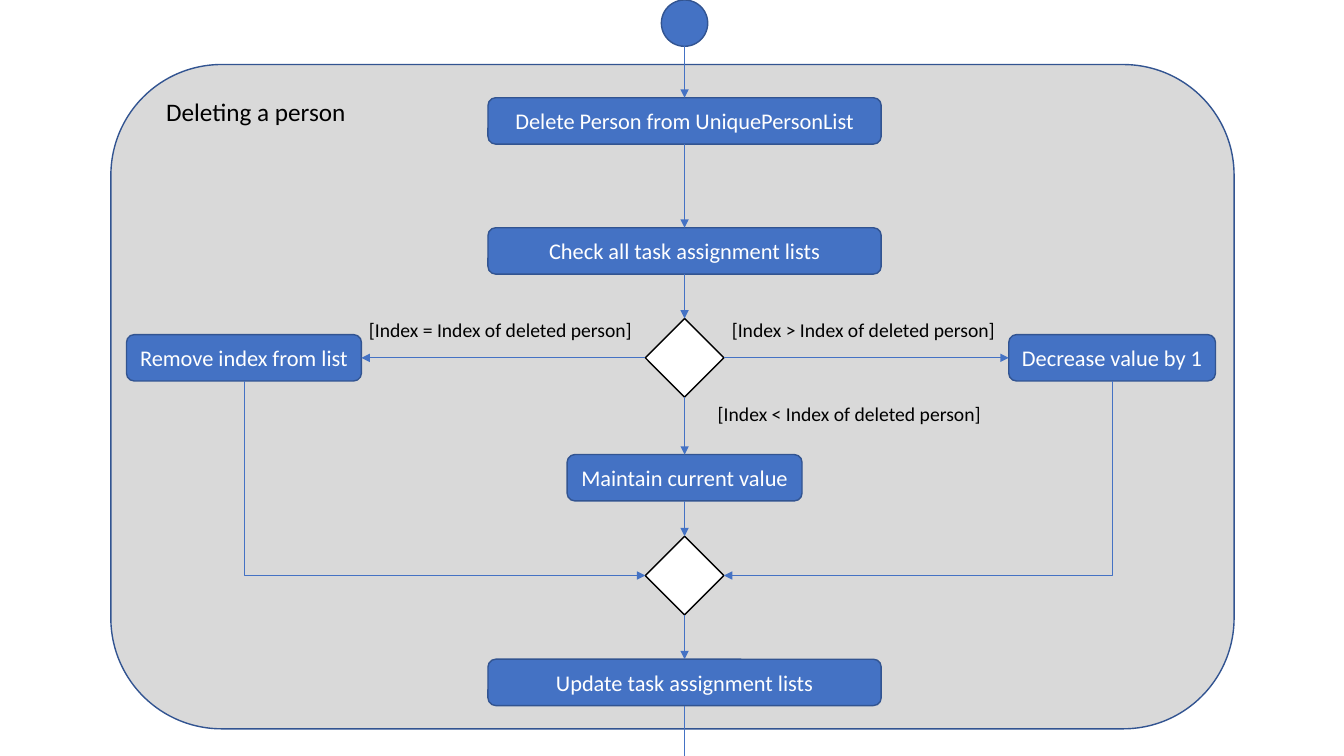
from lxml import etree
from pptx import Presentation
from pptx.dml.color import RGBColor
from pptx.enum.shapes import MSO_CONNECTOR, MSO_SHAPE
from pptx.enum.text import MSO_ANCHOR, MSO_AUTO_SIZE, PP_ALIGN
from pptx.oxml.ns import qn
from pptx.util import Emu, Pt

EMU_PER_PX = 9144
BLUE, NAVY, GREY, WHITE, BLACK = "4472C4", "325491", "D9D9D9", "FFFFFF", "000000"
ROUNDED, CIRCLE = MSO_SHAPE.ROUNDED_RECTANGLE, MSO_SHAPE.OVAL
DECISION = MSO_SHAPE.FLOWCHART_DECISION
STRAIGHT, ELBOW = MSO_CONNECTOR.STRAIGHT, MSO_CONNECTOR.ELBOW
MIDDLE, CENTER = MSO_ANCHOR.MIDDLE, PP_ALIGN.CENTER
FIT_SHAPE = MSO_AUTO_SIZE.SHAPE_TO_FIT_TEXT
TOP, LEFT, BOTTOM, RIGHT = range(4)
ACTION_HEIGHT, DECISION_SIZE = 46, 78


def px(length):
    """Turn a length in px into EMU."""
    return Emu(int(length * EMU_PER_PX))


def color(hex_string):
    """Turn a hex string into a colour."""
    return RGBColor.from_string(hex_string)


def set_text(shape, text, size, text_color):
    """Write one formatted paragraph and return it."""
    paragraph = shape.text_frame.paragraphs[0]
    paragraph.text = text
    paragraph.font.name = "Calibri"
    paragraph.font.size = Pt(size)
    paragraph.font.color.rgb = color(text_color)
    return paragraph


def add_node(slide, kind, box, fill=BLUE, line=NAVY):
    """Draw a filled and outlined shape in the box."""
    shape = slide.shapes.add_shape(kind, *map(px, box))
    shape.shadow.inherit = False
    shape.fill.solid()
    shape.fill.fore_color.rgb = color(fill)
    shape.line.color.rgb = color(line)
    shape.line.width = Pt(1)
    return shape


def add_action(slide, center, middle, width, text):
    """Draw an action box around its centre point."""
    box = center - width / 2, middle - ACTION_HEIGHT / 2, width, ACTION_HEIGHT
    shape = add_node(slide, ROUNDED, box)
    shape.text_frame.word_wrap = True
    shape.text_frame.vertical_anchor = MIDDLE
    set_text(shape, text, 16, WHITE).alignment = CENTER
    return shape


def add_decision(slide, center, middle):
    """Draw a decision diamond around its centre point."""
    half = DECISION_SIZE / 2
    box = center - half, middle - half, DECISION_SIZE, DECISION_SIZE
    return add_node(slide, DECISION, box, WHITE, BLACK)


def add_label(slide, box, text, size=14):
    """Write a text label that does not wrap."""
    label = slide.shapes.add_textbox(*map(px, box))
    label.text_frame.word_wrap = False
    label.text_frame.auto_size = FIT_SHAPE
    set_text(label, text, size, BLACK)


def add_arrow(slide, kind=STRAIGHT, start=(0, 0), end=(0, 0)):
    """Draw a thin blue connector with an arrowhead at its end."""
    arrow = slide.shapes.add_connector(kind, *map(px, start + end))
    arrow.line.color.rgb = color(BLUE)
    arrow.line.width = Pt(0.5)
    line = arrow.line._get_or_add_ln()
    etree.SubElement(line, qn("a:tailEnd"), type="triangle")
    etree.SubElement(arrow._element.spPr, qn("a:effectLst"))
    return arrow


def join(slide, source, source_side, target, target_side):
    """Join two shapes with a straight arrow."""
    arrow = add_arrow(slide)
    arrow.begin_connect(source, source_side)
    arrow.end_connect(target, target_side)


def join_bent(slide, source, target, target_side):
    """Run an arrow down from the source and then sideways to the target."""
    arrow = add_arrow(slide, ELBOW)
    arrow.begin_connect(source, BOTTOM)
    arrow.end_connect(target, target_side)
    run, drop = arrow.width, arrow.height
    center, middle = arrow.left + run // 2, arrow.top + drop // 2
    arrow.left, arrow.top = center - drop // 2, middle - run // 2
    arrow.width, arrow.height = drop, run
    from_left = target_side == LEFT
    properties = arrow._element.spPr
    frame = properties.find(qn("a:xfrm"))
    frame.set("rot", str((270 if from_left else 90) * 60000))
    frame.set("flipH", "1" if from_left else "0")
    properties.find(qn("a:prstGeom")).set("prst", "bentConnector2")


def draw_activity(slide, box):
    """Draw the activity diagram for deleting a person in the box."""
    left, top, width, height = box
    center = left + 569
    add_node(slide, ROUNDED, box, GREY)
    add_node(slide, CIRCLE, (center - 23, top - 64, 46, 46))

    delete = add_action(slide, center, top + 56, 390, "Delete Person from UniquePersonList")
    check = add_action(slide, center, top + 185, 390, "Check all task assignment lists")
    remove = add_action(slide, left + 132, top + 291, 233, "Remove index from list")
    decrease = add_action(slide, left + 993, top + 291, 205, "Decrease value by 1")
    maintain = add_action(slide, center, top + 410, 233, "Maintain current value")
    update = add_action(slide, center, top + 613, 390, "Update task assignment lists")
    branch = add_decision(slide, center, top + 291)
    merge = add_decision(slide, center, top + 507)

    entry = add_arrow(slide, start=(center, top - 18), end=(center, top + 33))
    entry.end_connect(delete, TOP)
    flow = [delete, check, branch, maintain, merge, update]
    for source, target in zip(flow, flow[1:]):
        join(slide, source, BOTTOM, target, TOP)
    for action, side, facing in ((remove, LEFT, RIGHT), (decrease, RIGHT, LEFT)):
        join(slide, branch, side, action, facing)
        join_bent(slide, action, merge, side)
    leaving = add_arrow(slide, start=(center, top + 636), end=(center, top + 695))
    leaving.begin_connect(update, BOTTOM)

    add_label(slide, (left + 45, top + 27, 201, 40), "Deleting a person", 18)
    for x, y, sign in ((246, 246, "="), (606, 246, ">"), (592, 330, "<")):
        text = f"[Index {sign} Index of deleted person]"
        add_label(slide, (left + x, top + y, 284, 34), text)


def main():
    """Build and save the presentation."""
    presentation = Presentation()
    presentation.slide_width, presentation.slide_height = px(1333), px(750)
    slide = presentation.slides.add_slide(presentation.slide_layouts[6])
    draw_activity(slide, (110, 64, 1114, 659))
    presentation.save("out.pptx")


if __name__ == "__main__":
    main()
